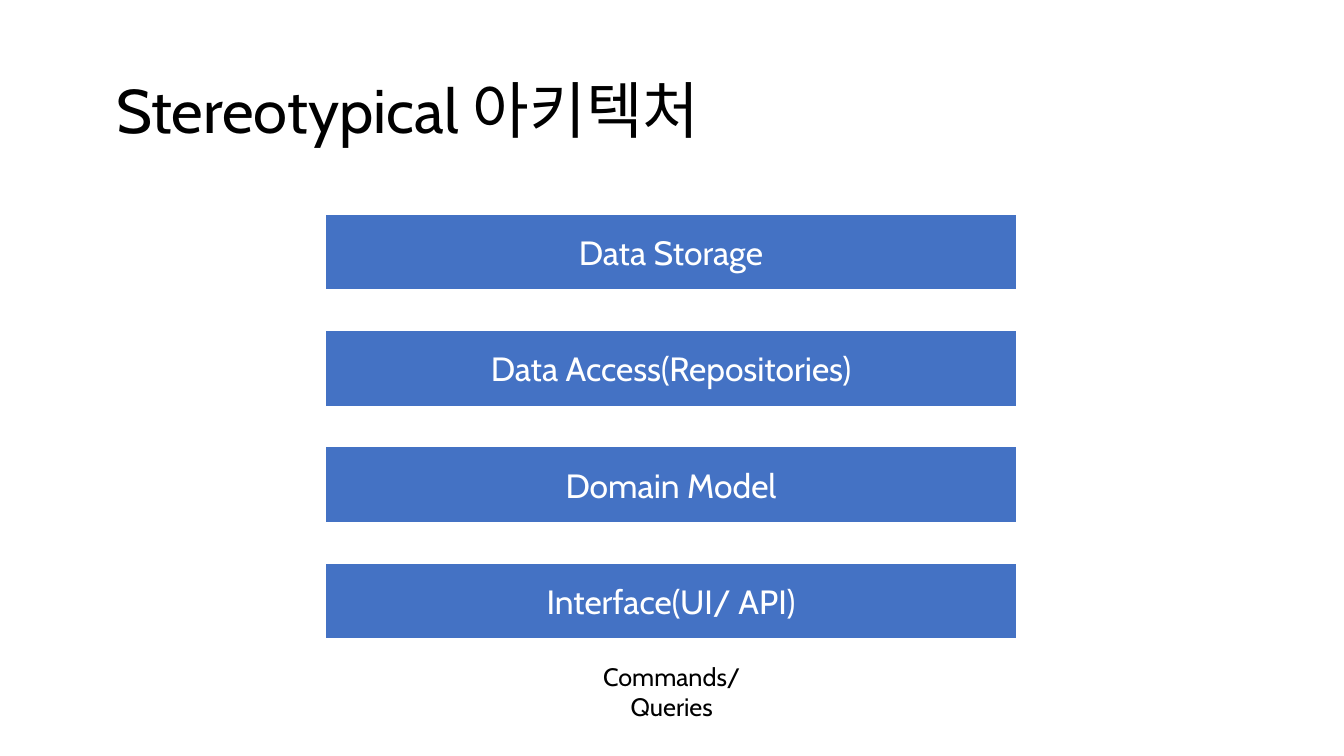
from dataclasses import dataclass

import pptx
import pptx.dml.color
import pptx.enum.shapes
import pptx.enum.text
import pptx.shapes.autoshape
import pptx.slide
import pptx.util

Cm = pptx.util.Cm
Pt = pptx.util.Pt
RGBColor = pptx.dml.color.RGBColor
PP_ALIGN = pptx.enum.text.PP_ALIGN
MSO_ANCHOR = pptx.enum.text.MSO_ANCHOR

BLACK = RGBColor(0x00, 0x00, 0x00)
WHITE = RGBColor(0xFF, 0xFF, 0xFF)
BLUE = RGBColor(0x44, 0x72, 0xC4)
FONT = "Cabin"

# Layer stack geometry in centimetres
LAYER_LEFT, LAYER_TOP = 8.2, 5.39
LAYER_WIDTH, LAYER_HEIGHT = 17.42, 1.93
LAYER_PITCH = 2.93


@dataclass
class Layer:
    name: str
    row: int


LAYERS = [
    Layer("Data Storage", 0),
    Layer("Data Access(Repositories)", 1),
    Layer("Domain Model", 2),
    Layer("Interface(UI/ API)", 3),
]


def write_text(sp: pptx.shapes.autoshape.Shape, text: str, *, size: float,
               color: RGBColor = BLACK, align: PP_ALIGN = PP_ALIGN.CENTER,
               anchor: MSO_ANCHOR = MSO_ANCHOR.MIDDLE,
               line_spacing: float = 1.0) -> None:
    tf = sp.text_frame
    tf.word_wrap = True
    tf.vertical_anchor = anchor
    p = tf.paragraphs[0]
    p.alignment = align
    p.line_spacing = line_spacing
    r = p.add_run()
    r.text = text
    r.font.name = FONT
    r.font.size = Pt(size)
    r.font.color.rgb = color


def add_layer(s: pptx.slide.Slide, layer: Layer) -> None:
    top = LAYER_TOP + layer.row * LAYER_PITCH
    sp = s.shapes.add_shape(pptx.enum.shapes.MSO_SHAPE.RECTANGLE,
                            Cm(LAYER_LEFT), Cm(top),
                            Cm(LAYER_WIDTH), Cm(LAYER_HEIGHT))
    sp.shadow.inherit = False
    sp.fill.solid()
    sp.fill.fore_color.rgb = BLUE
    sp.line.color.rgb = WHITE
    sp.line.width = Pt(1.5)
    write_text(sp, layer.name, size=24, color=WHITE)


def main() -> None:
    prs = pptx.Presentation()
    prs.slide_width, prs.slide_height = Cm(33.87), Cm(19.05)
    s = prs.slides.add_slide(prs.slide_layouts[6])

    # Title
    title = s.shapes.add_textbox(Cm(2.33), Cm(1.01), Cm(29.21), Cm(3.68))
    write_text(title, " Stereotypical 아키텍처", size=44,
               align=PP_ALIGN.LEFT, line_spacing=0.9)

    # Architecture layers
    for layer in LAYERS:
        add_layer(s, layer)

    # Caption below the stack, narrow enough to wrap onto two lines
    caption = s.shapes.add_textbox(Cm(13.93), Cm(16.54), Cm(6), Cm(1.03))
    write_text(caption, "Commands/ Queries", size=18, anchor=MSO_ANCHOR.TOP)

    prs.save("out.pptx")


if __name__ == "__main__":
    main()
